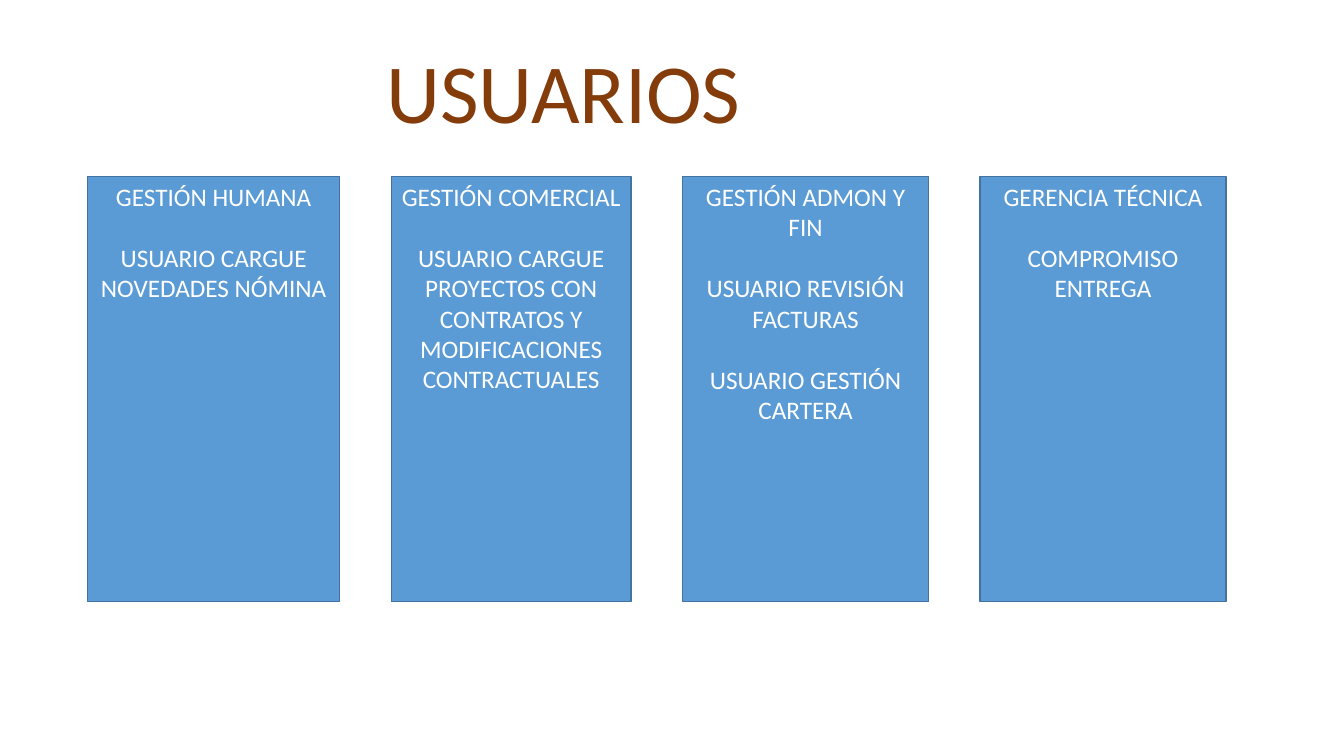
"""Build the slide that lists the users of each management area."""
from dataclasses import dataclass

from pptx import Presentation
from pptx.dml.color import RGBColor
from pptx.enum.shapes import MSO_SHAPE as Shape
from pptx.enum.text import MSO_ANCHOR as Anchor, MSO_AUTO_SIZE as AutoSize, PP_ALIGN as Align
from pptx.util import Inches, Pt


@dataclass(frozen=True)
class Theme:
    """Colours, font and type sizes of the slide."""
    font: str = "Calibri"
    heading: str = "843C0B"
    panel: str = "5B9BD5"
    border: str = "43739E"
    panel_text: str = "FFFFFF"
    heading_size: int = 60
    panel_size: int = 18


THEME = Theme()
PANEL_LEFT, PANEL_TOP, PANEL_HEIGHT, PANEL_GAP = 0.87, 1.75, 4.22, 0.51
AREAS = [
    (2.5, ["GESTIÓN HUMANA", "USUARIO CARGUE NOVEDADES NÓMINA"]),
    (2.38, ["GESTIÓN COMERCIAL",
            "USUARIO CARGUE PROYECTOS CON CONTRATOS Y MODIFICACIONES CONTRACTUALES"]),
    (2.44, ["GESTIÓN ADMON Y FIN", "USUARIO REVISIÓN FACTURAS", "USUARIO GESTIÓN CARTERA"]),
    (2.44, ["GERENCIA TÉCNICA", "COMPROMISO ENTREGA"]),
]


def add_centred_run(paragraph, wording, size, colour):
    """Centre the paragraph and add one formatted run."""
    paragraph.alignment = Align.CENTER
    run = paragraph.add_run()
    run.text = wording
    run.font.name = THEME.font
    run.font.size = Pt(size)
    run.font.color.rgb = RGBColor.from_string(colour)


def add_heading(slide, wording):
    """Place and fill the title placeholder."""
    heading = slide.shapes.title
    heading.left, heading.top = Inches(0.59), Inches(0.4)
    heading.width, heading.height = Inches(10), Inches(1.06)
    frame = heading.text_frame
    frame.auto_size = AutoSize.NONE
    frame.vertical_anchor = Anchor.BOTTOM
    frame.paragraphs[0].line_spacing = 0.9
    add_centred_run(frame.paragraphs[0], wording, THEME.heading_size, THEME.heading)


def add_area(slide, left, width, entries):
    """Draw one area panel with its name and users."""
    panel = slide.shapes.add_shape(Shape.RECTANGLE, Inches(left), Inches(PANEL_TOP),
                                   Inches(width), Inches(PANEL_HEIGHT))
    panel.shadow.inherit = False
    panel.fill.solid()
    panel.fill.fore_color.rgb = RGBColor.from_string(THEME.panel)
    panel.line.color.rgb = RGBColor.from_string(THEME.border)
    panel.line.width = Pt(1)
    frame = panel.text_frame
    frame.word_wrap = True
    frame.vertical_anchor = Anchor.TOP
    for index, entry in enumerate(entries):
        paragraph = frame.add_paragraph() if index else frame.paragraphs[0]
        if index:
            paragraph.space_before = Pt(22)
        add_centred_run(paragraph, entry, THEME.panel_size, THEME.panel_text)


def main():
    """Build and save the presentation."""
    deck = Presentation()
    deck.slide_width, deck.slide_height = Inches(13.33), Inches(7.5)
    slide = deck.slides.add_slide(deck.slide_layouts[5])
    add_heading(slide, "USUARIOS")
    left = PANEL_LEFT
    for width, entries in AREAS:
        add_area(slide, left, width, entries)
        left += width + PANEL_GAP
    deck.save("out.pptx")


if __name__ == "__main__":
    main()
